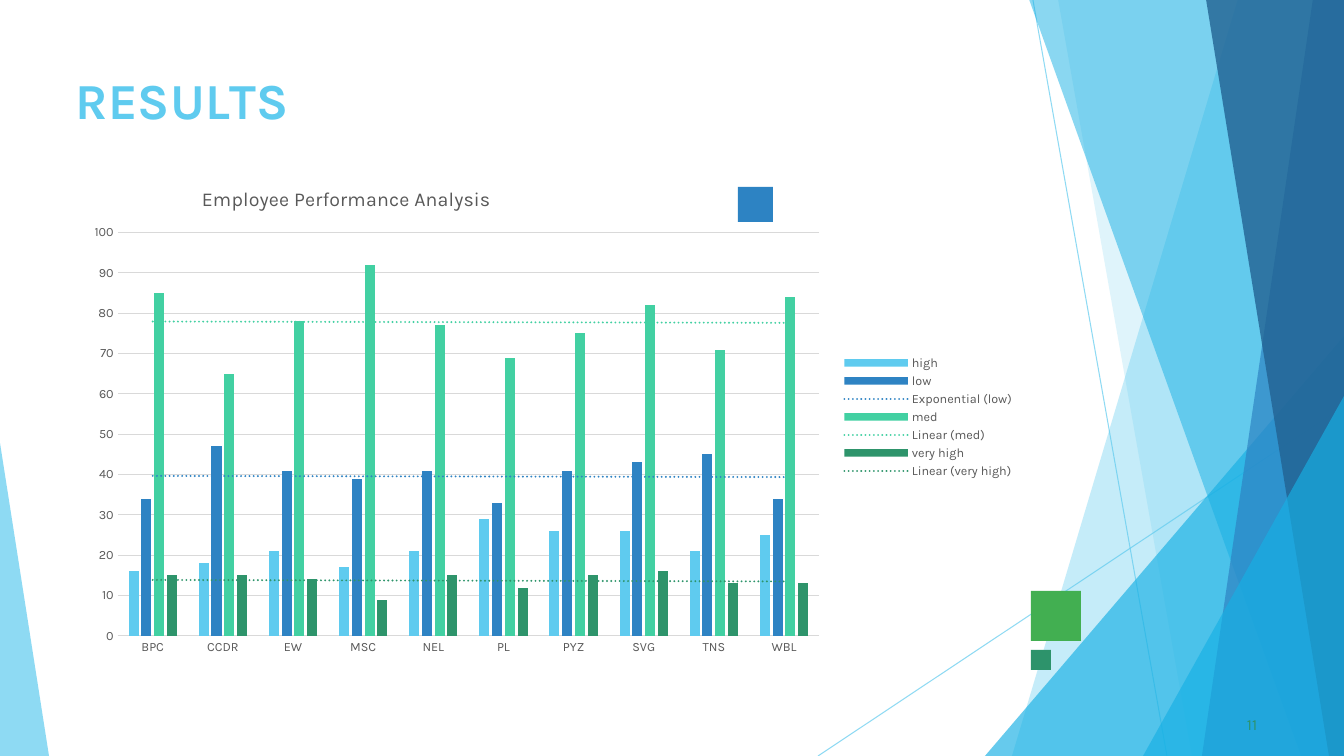
from lxml import etree
from pptx import Presentation
from pptx.chart.data import CategoryChartData
from pptx.dml.color import RGBColor
from pptx.enum.chart import XL_CHART_TYPE, XL_LEGEND_POSITION, XL_TICK_MARK
from pptx.enum.shapes import MSO_CONNECTOR, MSO_SHAPE
from pptx.enum.text import MSO_AUTO_SIZE
from pptx.oxml import parse_xml
from pptx.oxml.ns import nsdecls, qn
from pptx.util import Pt

PX = 914400 / 100.8
WIDTH, HEIGHT = 1344, 756
FONT = "Karla"
COLUMNS = XL_CHART_TYPE.COLUMN_CLUSTERED
LEGEND_RIGHT = XL_LEGEND_POSITION.RIGHT
NO_TICK = XL_TICK_MARK.NONE
STRAIGHT = MSO_CONNECTOR.STRAIGHT
TRIANGLE = MSO_SHAPE.ISOSCELES_TRIANGLE
RECTANGLE = MSO_SHAPE.RECTANGLE
GROW = MSO_AUTO_SIZE.SHAPE_TO_FIT_TEXT
COLORS = {
    "sky": "5FCBEF", "cyan": "17B0E4", "blue": "2E83C3", "navy": "226292",
    "mint": "42D0A2", "teal": "2E946B", "leaf": "42AF51", "marker": "2D83C3",
    "pine": "2D936B", "grid": "D9D9D9", "label": "595959", "black": "000000",
}
BRANCHES = ["BPC", "CCDR", "EW", "MSC", "NEL", "PL", "PYZ", "SVG", "TNS", "WBL"]
RATINGS = [
    ("high", "sky", None, [16, 18, 21, 17, 21, 29, 26, 26, 21, 25]),
    ("low", "blue", "exp", [34, 47, 41, 39, 41, 33, 41, 43, 45, 34]),
    ("med", "mint", "linear", [85, 65, 78, 92, 77, 69, 75, 82, 71, 84]),
    ("very high", "teal", "linear", [15, 15, 14, 9, 15, 12, 15, 16, 13, 13]),
]


def px(length):
    return round(length * PX)


def box(bounds):
    return [px(length) for length in bounds]


def rgb(color):
    return RGBColor.from_string(COLORS[color])


def set_format(target, values):
    for name, value in values.items():
        setattr(target, name, value)


def set_font(font, size, color, bold=False):
    set_format(font, {"name": FONT, "size": Pt(size), "bold": bold})
    font.color.rgb = rgb(color)


def set_line(line, color, width):
    line.color.rgb = rgb(color)
    line.width = Pt(width)


def add_opacity(element, percent):
    color = next(element.iter(qn("a:srgbClr")))
    etree.SubElement(color, qn("a:alpha")).set("val", str(percent * 1000))


def paint(shape, color, opacity=100):
    shape.shadow.inherit = False
    shape.line.fill.background()
    shape.fill.solid()
    shape.fill.fore_color.rgb = rgb(color)
    if opacity < 100:
        add_opacity(shape._element.spPr, opacity)


def add_ray(slide, start, end):
    ray = slide.shapes.add_connector(STRAIGHT, *box(start + end))
    set_line(ray.line, "sky", 0.75)
    properties = ray._element.spPr
    add_opacity(properties, 70)
    etree.SubElement(properties, qn("a:effectLst"))


def add_band(slide, top_x, bottom_x, color, opacity):
    builder = slide.shapes.build_freeform(top_x, -1, scale=PX)
    builder.add_line_segments([(WIDTH, -1), (WIDTH, HEIGHT), (bottom_x, HEIGHT)])
    paint(builder.convert_to_shape(), color, opacity)


def add_wedge(slide, bounds, apex, color, opacity):
    wedge = slide.shapes.add_shape(TRIANGLE, *box(bounds))
    wedge.adjustments[0] = apex
    paint(wedge, color, opacity)


def add_square(slide, left, top, side, color):
    square = slide.shapes.add_shape(RECTANGLE, *box((left, top, side, side)))
    paint(square, color)


def add_text(slide, bounds, pieces, size, color, space_before, indent, bold=False):
    frame = slide.shapes.add_textbox(*box(bounds)).text_frame
    set_format(frame, {
        "word_wrap": True, "auto_size": GROW, "margin_left": 0,
        "margin_top": px(1), "margin_right": 0, "margin_bottom": 0,
    })
    paragraph = frame.paragraphs[0]
    paragraph.space_before = Pt(space_before)
    paragraph._p.get_or_add_pPr().set("marL", str(px(indent)))
    for wording, spacing in pieces:
        run = paragraph.add_run()
        run.text = wording
        set_font(run.font, size, color, bold)
        run._r.get_or_add_rPr().set("spc", str(spacing))


def place(part, index, target, **fractions):
    for old in part.findall(qn("c:layout")):
        part.remove(old)
    layout = etree.Element(qn("c:layout"))
    manual = etree.SubElement(layout, qn("c:manualLayout"))
    settings = {**target, "xMode": "edge", "yMode": "edge", **fractions}
    for name, value in settings.items():
        etree.SubElement(manual, qn(f"c:{name}")).set("val", str(value))
    part.insert(index, layout)


def add_trend(series, kind, color):
    trend = parse_xml(
        f'<c:trendline {nsdecls("c", "a")}><c:spPr>'
        f'<a:ln w="{Pt(1.5)}" cap="rnd"><a:solidFill>'
        f'<a:srgbClr val="{COLORS[color]}"/></a:solidFill>'
        '<a:prstDash val="sysDot"/></a:ln></c:spPr>'
        f'<c:trendlineType val="{kind}"/>'
        '<c:dispRSqr val="0"/><c:dispEq val="0"/></c:trendline>'
    )
    series._element.find(qn("c:cat")).addprevious(trend)


def style_axes(chart):
    for axis in (chart.category_axis, chart.value_axis):
        set_format(axis, {"major_tick_mark": NO_TICK, "minor_tick_mark": NO_TICK})
        set_font(axis.tick_labels.font, 9, "label")
    set_line(chart.category_axis.format.line, "grid", 0.75)
    scores = chart.value_axis
    set_format(scores, {"minimum_scale": 0, "maximum_scale": 100, "major_unit": 10,
                        "has_major_gridlines": True})
    scores.format.line.fill.background()
    set_line(scores.major_gridlines.format.line, "grid", 0.75)


def add_performance_chart(slide, bounds):
    data = CategoryChartData()
    data.categories = BRANCHES
    for name, _, _, scores in RATINGS:
        data.add_series(name, scores)
    chart = slide.shapes.add_chart(COLUMNS, *box(bounds), data).chart
    set_font(chart.font, 10, "black")
    style_axes(chart)

    plot = chart.plots[0]
    set_format(plot, {"gap_width": 219, "overlap": -27, "vary_by_categories": False})
    for series, (_, color, trend, _) in zip(plot.series, RATINGS):
        series.format.fill.solid()
        series.format.fill.fore_color.rgb = rgb(color)
        if trend:
            add_trend(series, trend, color)

    set_format(chart, {"has_title": True, "has_legend": True})
    heading = chart.chart_title.text_frame
    heading.text = "Employee Performance Analysis"
    set_font(heading.paragraphs[0].runs[0].font, 14, "label")
    legend = chart.legend
    set_format(legend, {"position": LEGEND_RIGHT, "include_in_layout": False})
    set_font(legend.font, 9, "label")

    place(chart.chart_title._element, 1, {}, x=0.13, y=0.03)
    place(legend._element, 1, {}, x=0.81, y=0.37, w=0.18, h=0.26)
    plot_area = next(chart._chartSpace.iter(qn("c:plotArea")))
    place(plot_area, 0, {"layoutTarget": "inner"}, x=0.045, y=0.13, w=0.74, h=0.81)


def add_backdrop(slide):
    add_ray(slide, (1033, 0), (1167, HEIGHT))
    add_ray(slide, (WIDTH, 406), (818, HEIGHT))
    add_band(slide, 1238, 1012, "sky", 36)
    add_band(slide, 1058, 1192, "sky", 20)
    add_wedge(slide, (985, 336, 359, 420), 1, "cyan", 66)
    add_band(slide, 1029, 1301, "cyan", 50)
    add_band(slide, 1313, 1202, "blue", 70)
    add_band(slide, 1206, 1329, "navy", 80)
    add_wedge(slide, (1143, 396, 201, 360), 1, "cyan", 66)
    add_wedge(slide, (0, 443, 49, 313), 0, "sky", 70)


def main():
    deck = Presentation()
    set_format(deck, {"slide_width": px(WIDTH), "slide_height": px(HEIGHT)})
    slide = deck.slides.add_slide(deck.slide_layouts[6])
    add_backdrop(slide)
    add_square(slide, 1031, 591, 50, "leaf")
    add_square(slide, 738, 187, 35, "marker")
    add_square(slide, 1031, 650, 20, "pine")
    title = [("R", 0), ("E", -40), ("S", 10), ("U", -30), ("L", -400), ("TS", 0)]
    add_text(slide, (75, 68, 948, 62), title, 36, "sky", 1.1, 1, bold=True)
    add_text(slide, (1243, 714, 25, 21), [("11", 10)], 11, "pine", 0.6, 4)
    add_performance_chart(slide, (75, 168, 948, 498))
    deck.save("out.pptx")


if __name__ == "__main__":
    main()
